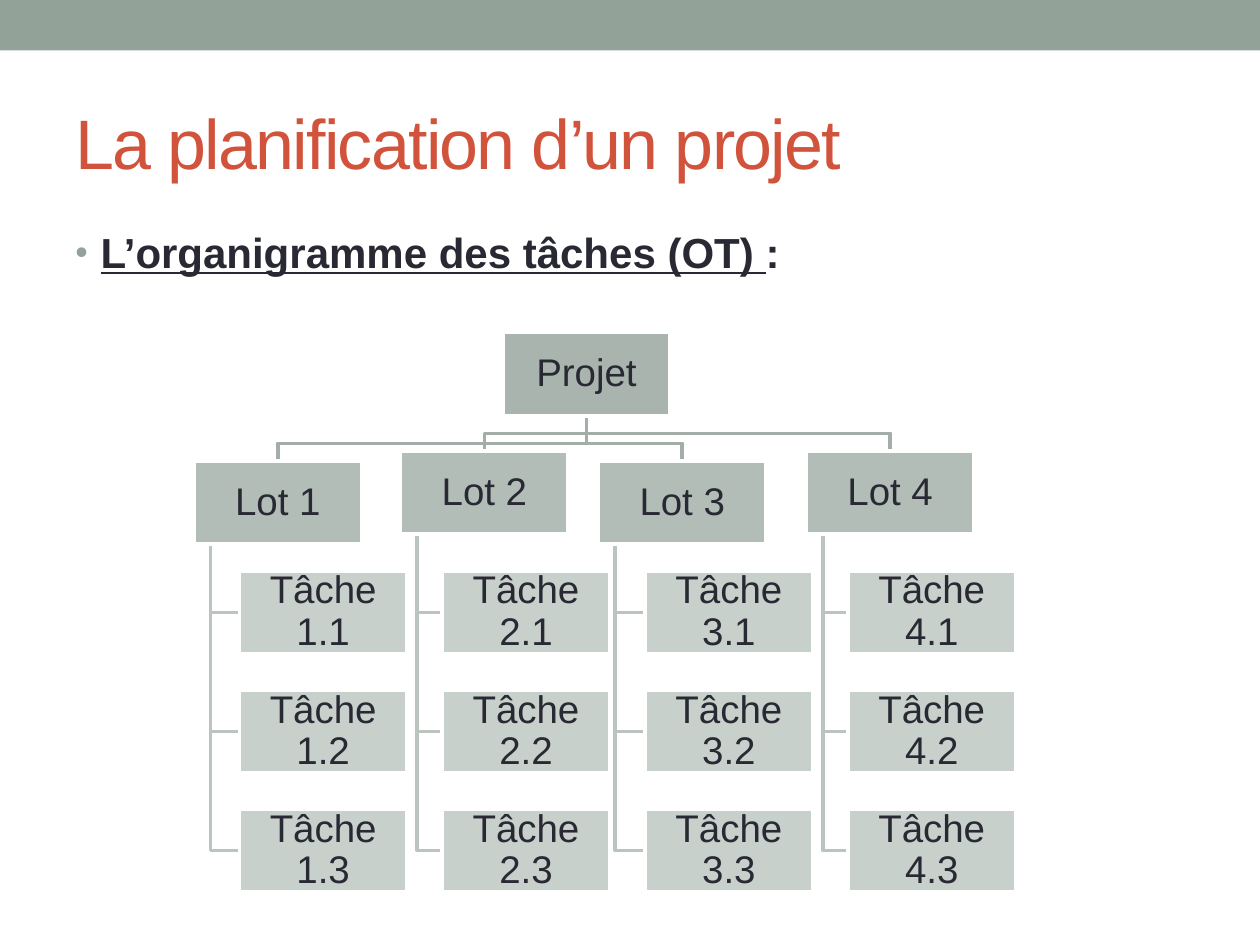
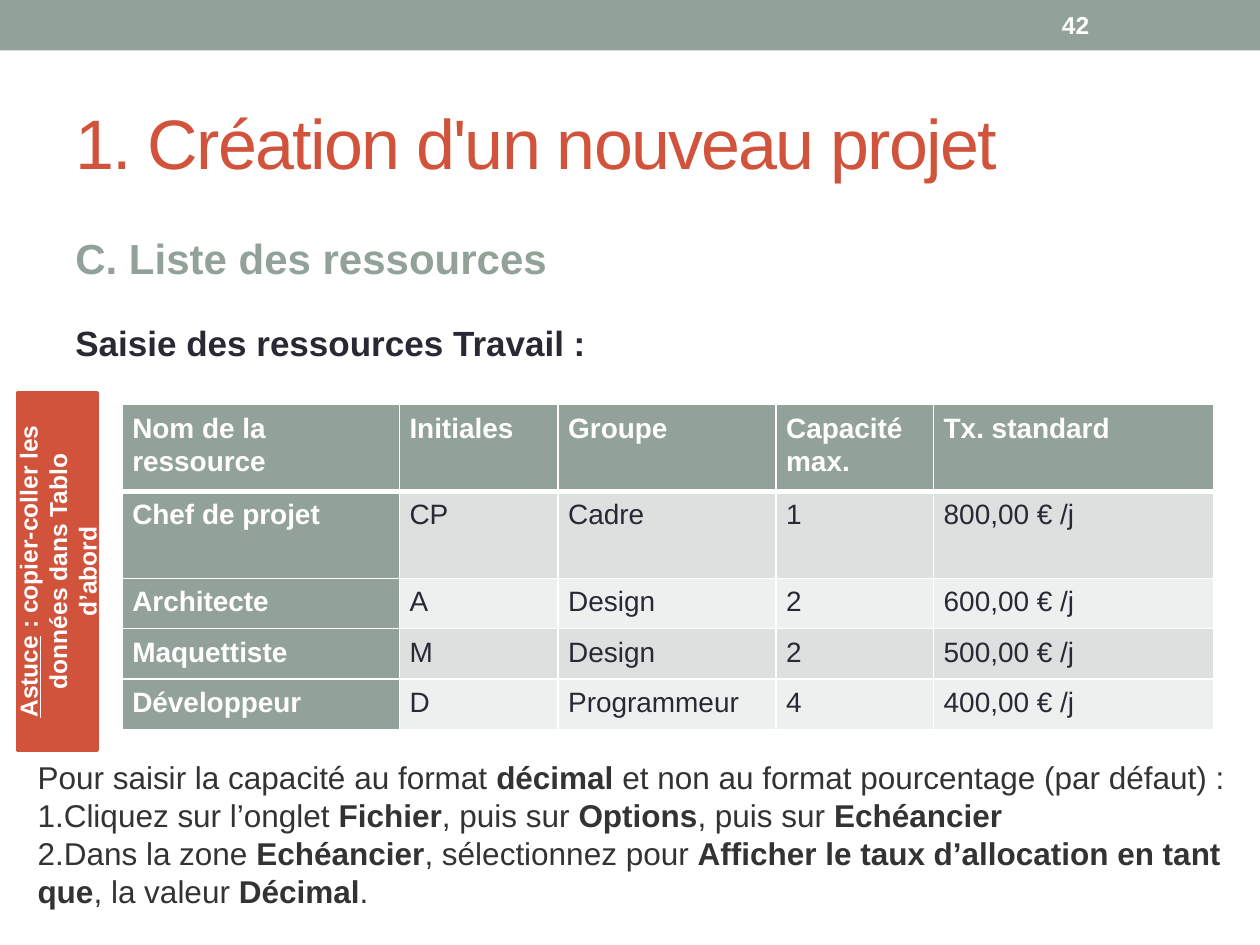
from lxml.etree import SubElement
from pptx import Presentation
from pptx.dml.color import RGBColor
from pptx.enum.shapes import MSO_SHAPE as Shape
from pptx.enum.text import MSO_ANCHOR as Anchor, PP_ALIGN as Align
from pptx.oxml.ns import qn
from pptx.util import Inches, Pt

COLORS = {
    "sage": "93A299", "rust": "D2533C", "ink": "292934", "white": "FFFFFF",
    "note": "333333", "lot_link": "A2AEA7", "task_link": "BCC4BF",
    "odd_row": "DCE0DE", "even_row": "EEF0EF",
}
FONT = "Arial"
LINK_WIDTH = Pt(2.08)

BOX_WIDTH, BOX_HEIGHT = 1.33, 0.66
PROJECT_LEFT = 2.45
LOT_LEFTS = (0, 1.64, 3.21, 4.86)
LOT_TOPS = (1.02, 0.94)
TASK_LEFT, TASK_TOP = 0.36, 1.89
TASK_STEP_X, TASK_STEP_Y = 1.61, 0.945

COLUMN_WIDTHS = (2.2, 1.26, 1.73, 1.25, 2.22)
ROW_HEIGHTS = (0.69, 0.69, 0.4, 0.4, 0.4)
RESOURCES = (
    ("Nom de la ressource", "Initiales", "Groupe", "Capacité max.", "Tx. standard"),
    ("Chef de projet", "CP", "Cadre", "1", "800,00 € /j"),
    ("Architecte", "A", "Design", "2", "600,00 € /j"),
    ("Maquettiste", "M", "Design", "2", "500,00 € /j"),
    ("Développeur", "D", "Programmeur", "4", "400,00 € /j"),
)
DECIMAL_STEPS = (
    (("Pour saisir la capacité au format ", ""), ("décimal", "b"),
     (" et non au format pourcentage (par défaut) :", "")),
    (("Cliquez sur l’onglet ", ""), ("Fichier", "b"), (", puis sur ", ""),
     ("Options", "b"), (", puis sur ", ""), ("Echéancier", "b")),
    (("Dans la zone ", ""), ("Echéancier", "b"), (", sélectionnez pour ", ""),
     ("Afficher le taux d’allocation en tant que", "b"), (", la valeur ", ""),
     ("Décimal", "b"), (".", "")),
)


def rgb(name):
    return RGBColor.from_string(COLORS[name])


def write(paragraph, runs, size, color):
    """Add (text, style) runs; style may hold b for bold and u for underlined."""
    for text, style in runs:
        run = paragraph.add_run()
        run.text = text
        run.font.name, run.font.size = FONT, Pt(size)
        run.font.color.rgb = rgb(color)
        run.font.bold = "b" in style
        run.font.underline = "u" in style


def add_text_frame(slide, box, anchor=Anchor.TOP):
    text_frame = slide.shapes.add_textbox(*map(Inches, box)).text_frame
    text_frame.word_wrap = True
    text_frame.vertical_anchor = anchor
    return text_frame


def add_rectangle(slide, box, fill, line=None, opacity=100):
    shape = slide.shapes.add_shape(Shape.RECTANGLE, *map(Inches, box))
    shape.shadow.inherit = False
    shape.fill.solid()
    shape.fill.fore_color.rgb = rgb(fill)
    if opacity < 100:
        color = shape.fill._xPr.find(qn("a:solidFill"))[0]
        SubElement(color, qn("a:alpha"), val=str(opacity * 1000))
    if line:
        shape.line.color.rgb = rgb(line)
        shape.line.width = LINK_WIDTH
    else:
        shape.line.fill.background()
    shape.text_frame.word_wrap = True
    shape.text_frame.vertical_anchor = Anchor.MIDDLE
    return shape


def add_titled_slide(presentation, title):
    slide = presentation.slides.add_slide(presentation.slide_layouts[6])
    add_rectangle(slide, (0, 0, 10, 0.4), "sage")
    text_frame = add_text_frame(slide, (0.5, 0.58, 9, 1.08), Anchor.MIDDLE)
    paragraph = text_frame.paragraphs[0]
    write(paragraph, [(title, "")], 40, "rust")
    paragraph.runs[0].font._element.set("spc", "-100")
    return slide


def add_bullet_heading(slide, box):
    paragraph = add_text_frame(slide, box).paragraphs[0]
    properties = paragraph._p.get_or_add_pPr()
    properties.set("marL", str(Inches(0.2)))
    properties.set("indent", str(Inches(-0.2)))
    bullet_color = SubElement(properties, qn("a:buClr"))
    SubElement(bullet_color, qn("a:srgbClr"), val=COLORS["sage"])
    SubElement(properties, qn("a:buSzPct"), val="85000")
    SubElement(properties, qn("a:buFont"), typeface=FONT)
    SubElement(properties, qn("a:buChar"), char="•")
    write(paragraph, [("L’organigramme des tâches (OT) ", "bu"), (":", "b")], 24, "ink")


def add_link(slide, points, color):
    """Draw an open bent line through the points."""
    start, *others = [tuple(map(Inches, point)) for point in points]
    builder = slide.shapes.build_freeform(*start)
    builder.add_line_segments(others, close=False)
    link = builder.convert_to_shape()
    link.shadow.inherit = False
    link.fill.background()
    link.line.color.rgb = rgb(color)
    link.line.width = LINK_WIDTH


def add_chart_box(slide, left, top, label, opacity):
    box = (left, top, BOX_WIDTH, BOX_HEIGHT)
    shape = add_rectangle(slide, box, "sage", "white", opacity)
    text_frame = shape.text_frame
    text_frame.margin_left = text_frame.margin_right = Inches(0.02)
    text_frame.margin_top = text_frame.margin_bottom = Inches(0.02)
    paragraph = text_frame.paragraphs[0]
    paragraph.alignment = Align.CENTER
    paragraph.line_spacing = 0.9
    write(paragraph, [(label, "")], 22, "ink")


def add_task_chart(slide, left, top):
    project_x = left + PROJECT_LEFT + BOX_WIDTH / 2
    project_bottom = top + BOX_HEIGHT
    boxes = [(left + PROJECT_LEFT, top, "Projet", 80)]
    for i, lot_offset in enumerate(LOT_LEFTS):
        lot_left, lot_top = left + lot_offset, top + LOT_TOPS[i % 2]
        lot_x, bend_y = lot_left + BOX_WIDTH / 2, lot_top - 0.14
        boxes.append((lot_left, lot_top, f"Lot {i + 1}", 70))
        add_link(slide, [(project_x, project_bottom), (project_x, bend_y),
                         (lot_x, bend_y), (lot_x, lot_top)], "lot_link")

        stem_x = lot_left + 0.13
        task_left = left + TASK_LEFT + i * TASK_STEP_X
        for j in range(3):
            task_top = top + TASK_TOP + j * TASK_STEP_Y
            task_y = task_top + BOX_HEIGHT / 2
            boxes.append((task_left, task_top, f"Tâche {i + 1}.{j + 1}", 50))
            add_link(slide, [(stem_x, lot_top + BOX_HEIGHT), (stem_x, task_y),
                             (task_left, task_y)], "task_link")
    for box in boxes:
        add_chart_box(slide, *box)


def add_page_number(slide, box, number):
    text_frame = add_text_frame(slide, box, Anchor.MIDDLE)
    write(text_frame.paragraphs[0], [(number, "b")], 14, "white")


def add_section_headings(slide, box):
    text_frame = add_text_frame(slide, box)
    write(text_frame.paragraphs[0], [("C. Liste des ressources", "b")], 24, "sage")
    paragraph = text_frame.add_paragraph()
    paragraph.space_before = Pt(22)
    write(paragraph, [("Saisie des ressources Travail :", "b")], 20, "ink")


def set_borders(cell, top, bottom):
    """Give the cell white borders; top and bottom widths are in points."""
    properties = cell._tc.get_or_add_tcPr()
    for side, width in (("L", 1), ("R", 1), ("T", top), ("B", bottom)):
        border = SubElement(properties, qn(f"a:ln{side}"), w=str(Pt(width)))
        fill = SubElement(border, qn("a:solidFill"))
        SubElement(fill, qn("a:srgbClr"), val=COLORS["white"])


def add_resource_table(slide, left, top):
    size = (sum(COLUMN_WIDTHS), sum(ROW_HEIGHTS))
    table = slide.shapes.add_table(len(ROW_HEIGHTS), len(COLUMN_WIDTHS),
                                   *map(Inches, (left, top, *size))).table
    for column, width in zip(table.columns, COLUMN_WIDTHS):
        column.width = Inches(width)
    for i, values in enumerate(RESOURCES):
        table.rows[i].height = Inches(ROW_HEIGHTS[i])
        for j, value in enumerate(values):
            cell = table.cell(i, j)
            is_header = i == 0 or j == 0
            set_borders(cell, 3 if i == 1 else 1, 3 if i == 0 else 1)
            cell.margin_left = cell.margin_right = Inches(0.08)
            cell.fill.solid()
            body_fill = "odd_row" if i % 2 else "even_row"
            cell.fill.fore_color.rgb = rgb("sage" if is_header else body_fill)
            paragraph = cell.text_frame.paragraphs[0]
            paragraph.line_spacing = 1.07
            write(paragraph, [(value, "b" if is_header else "")], 16,
                  "white" if is_header else "ink")


def add_decimal_steps(slide, box):
    text_frame = add_text_frame(slide, box)
    for i, runs in enumerate(DECIMAL_STEPS):
        paragraph = text_frame.add_paragraph() if i else text_frame.paragraphs[0]
        if i:
            SubElement(paragraph._p.get_or_add_pPr(), qn("a:buAutoNum"),
                       type="arabicPeriod")
        write(paragraph, runs, 18, "note")


def add_tip(slide, box):
    tip = add_rectangle(slide, box, "rust", "rust")
    tip.rotation = 270
    paragraph = tip.text_frame.paragraphs[0]
    paragraph.alignment = Align.CENTER
    write(paragraph, [("Astuce", "bu"),
                      (" : copier-coller les données dans Tablo d’abord", "b")],
          14, "white")


def build_planning_slide(presentation):
    slide = add_titled_slide(presentation, "La planification d’un projet")
    add_bullet_heading(slide, (0.5, 1.75, 9, 0.6))
    add_task_chart(slide, 1.54, 2.64)


def build_resources_slide(presentation):
    slide = add_titled_slide(presentation, "1. Création d'un nouveau projet")
    add_section_headings(slide, (0.5, 1.8, 9, 1.3))
    add_page_number(slide, (8.33, 0.02, 1.17, 0.36), "42")
    add_resource_table(slide, 0.97, 3.21)
    add_decimal_steps(slide, (0.2, 5.97, 9.8, 1.31))
    add_tip(slide, (-0.96, 4.22, 2.83, 0.63))


def main():
    presentation = Presentation()
    presentation.slide_width = Inches(10)
    presentation.slide_height = Inches(7.5)
    build_planning_slide(presentation)
    build_resources_slide(presentation)
    presentation.save("out.pptx")


if __name__ == "__main__":
    main()
